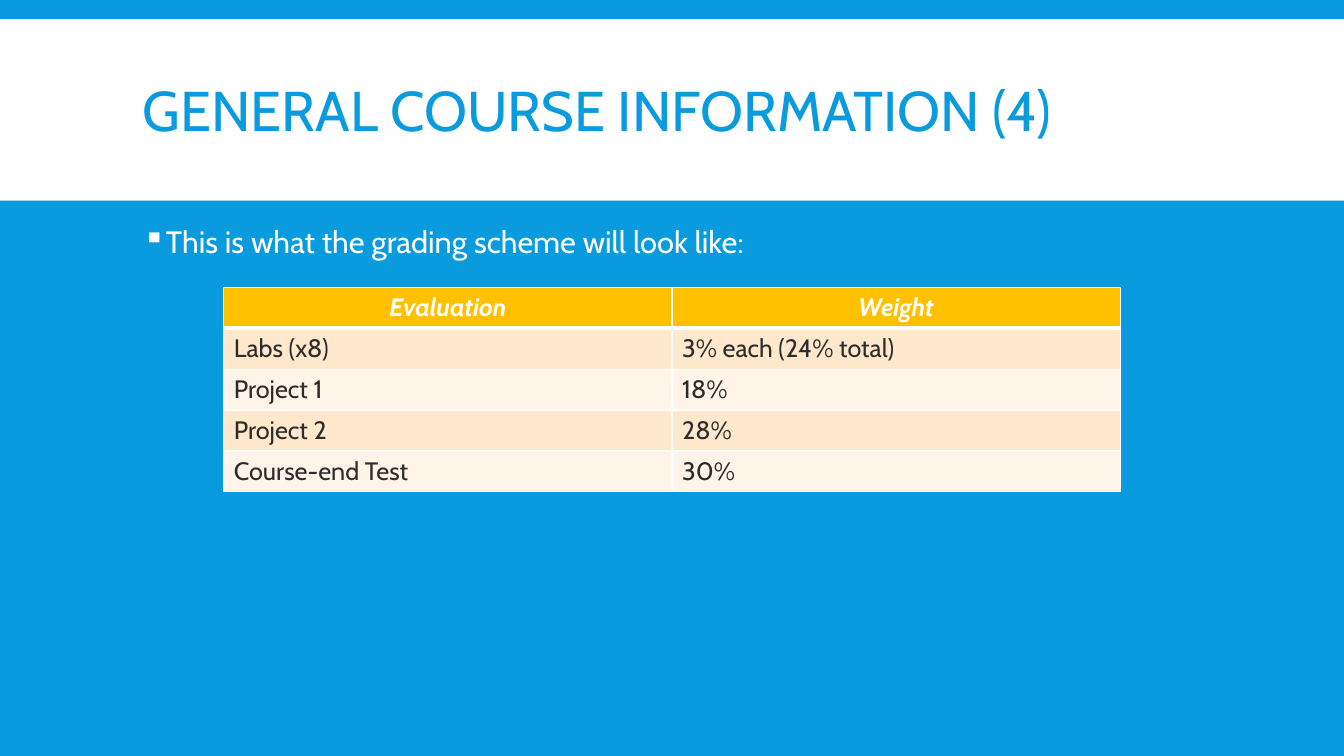
from lxml.etree import SubElement
from pptx import Presentation
from pptx.dml.color import RGBColor
from pptx.enum.shapes import MSO_SHAPE
from pptx.enum.text import MSO_ANCHOR, PP_ALIGN
from pptx.oxml import parse_xml
from pptx.oxml.ns import nsdecls, qn
from pptx.util import Inches, Pt

BLUE, WHITE, GOLD, DARK = "099BDD", "FFFFFF", "FFC000", "2C2C2C"
BANDS = ("FFE8CC", "FFF4E7")


def color(hex_value):
    return RGBColor.from_string(hex_value)


class SlideBuilder:
    font_name = "Cabin"

    def __init__(self, slide):
        self.slide = slide

    def background(self, fill):
        self.slide.background.fill.solid()
        self.slide.background.fill.fore_color.rgb = color(fill)

    def band(self, left, top, width, height, fill):
        shape = self.slide.shapes.add_shape(
            MSO_SHAPE.RECTANGLE, Inches(left), Inches(top), Inches(width), Inches(height))
        shape.shadow.inherit = False
        shape.fill.solid()
        shape.fill.fore_color.rgb = color(fill)
        shape.line.fill.background()

    def style(self, paragraph, size, text_color, emphasis=False):
        font = paragraph.font
        font.name, font.size = self.font_name, Pt(size)
        font.bold = font.italic = emphasis
        font.color.rgb = color(text_color)

    def text(self, left, top, width, height, text, size, text_color,
             spacing, anchor=MSO_ANCHOR.TOP):
        box = self.slide.shapes.add_textbox(
            Inches(left), Inches(top), Inches(width), Inches(height))
        frame = box.text_frame
        frame.word_wrap = True
        frame.vertical_anchor = anchor
        paragraph = frame.paragraphs[0]
        paragraph.text = text
        paragraph.line_spacing = spacing
        self.style(paragraph, size, text_color)
        return paragraph

    def bullet(self, paragraph, indent, character, bullet_color):
        paragraph.space_before, paragraph.space_after = Pt(12), Pt(2)
        properties = paragraph._p.get_or_add_pPr()
        properties.set("marL", str(Inches(indent)))
        properties.set("indent", str(-Inches(indent)))
        mark = parse_xml(f'<a:buClr {nsdecls("a")}><a:srgbClr val="{bullet_color}"/></a:buClr>')
        # Bullet marks come before the default run properties
        properties.find(qn("a:defRPr")).addprevious(mark)
        sign = SubElement(properties, qn("a:buChar"), char=character)
        mark.addnext(sign)

    def borders(self, cell, bottom, top):
        properties = cell._tc.get_or_add_tcPr()
        widths = {"lnL": 1, "lnR": 1, "lnT": top, "lnB": bottom}
        for position, (side, width) in enumerate(widths.items()):
            properties.insert(position, parse_xml(
                f'<a:{side} {nsdecls("a")} w="{Pt(width)}"><a:solidFill>'
                f'<a:srgbClr val="{WHITE}"/></a:solidFill></a:{side}>'))

    def table(self, left, top, width, height, rows, size):
        table = self.slide.shapes.add_table(
            len(rows), len(rows[0]), Inches(left), Inches(top),
            Inches(width), Inches(height)).table
        for row_index, row in enumerate(rows):
            header = row_index == 0
            for column_index, value in enumerate(row):
                cell = table.cell(row_index, column_index)
                cell.text = value
                cell.fill.solid()
                cell.fill.fore_color.rgb = color(GOLD if header else BANDS[(row_index - 1) % 2])
                paragraph = cell.text_frame.paragraphs[0]
                self.style(paragraph, size, WHITE if header else DARK, header)
                if header:
                    paragraph.alignment = PP_ALIGN.CENTER
                self.borders(cell, bottom=3 if header else 1, top=3 if row_index == 1 else 1)


presentation = Presentation()
presentation.slide_width, presentation.slide_height = Inches(13.33), Inches(7.5)
builder = SlideBuilder(presentation.slides.add_slide(presentation.slide_layouts[6]))

# Background and title band
builder.background(BLUE)
builder.band(0, 0.19, 13.33, 1.8, WHITE)
builder.text(1.32, 0.31, 10.7, 1.65, "GENERAL COURSE INFORMATION (4)",
             40, BLUE, 0.85, MSO_ANCHOR.MIDDLE)

# Introductory bullet
introduction = builder.text(1.32, 2.2, 10.7, 4.6,
                            "This is what the grading scheme will look like:", 22, WHITE, 0.9)
builder.bullet(introduction, 0.2, "▪", WHITE)

# Grading scheme
grading = [
    ("Evaluation", "Weight"),
    ("Labs (x8)", "3% each (24% total)"),
    ("Project 1", "18%"),
    ("Project 2", "28%"),
    ("Course-end Test", "30%"),
]
builder.table(2.22, 2.85, 8.89, 2.03, grading, 18)

presentation.save("out.pptx")
